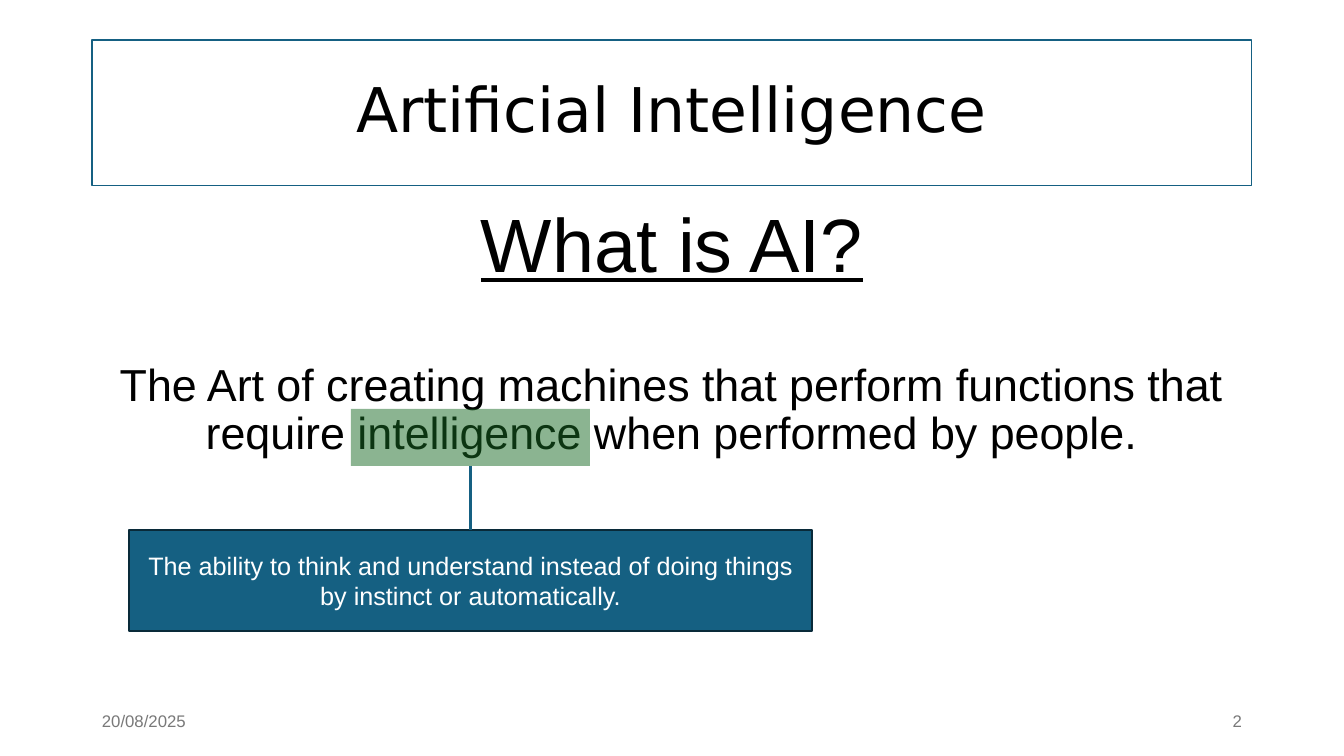
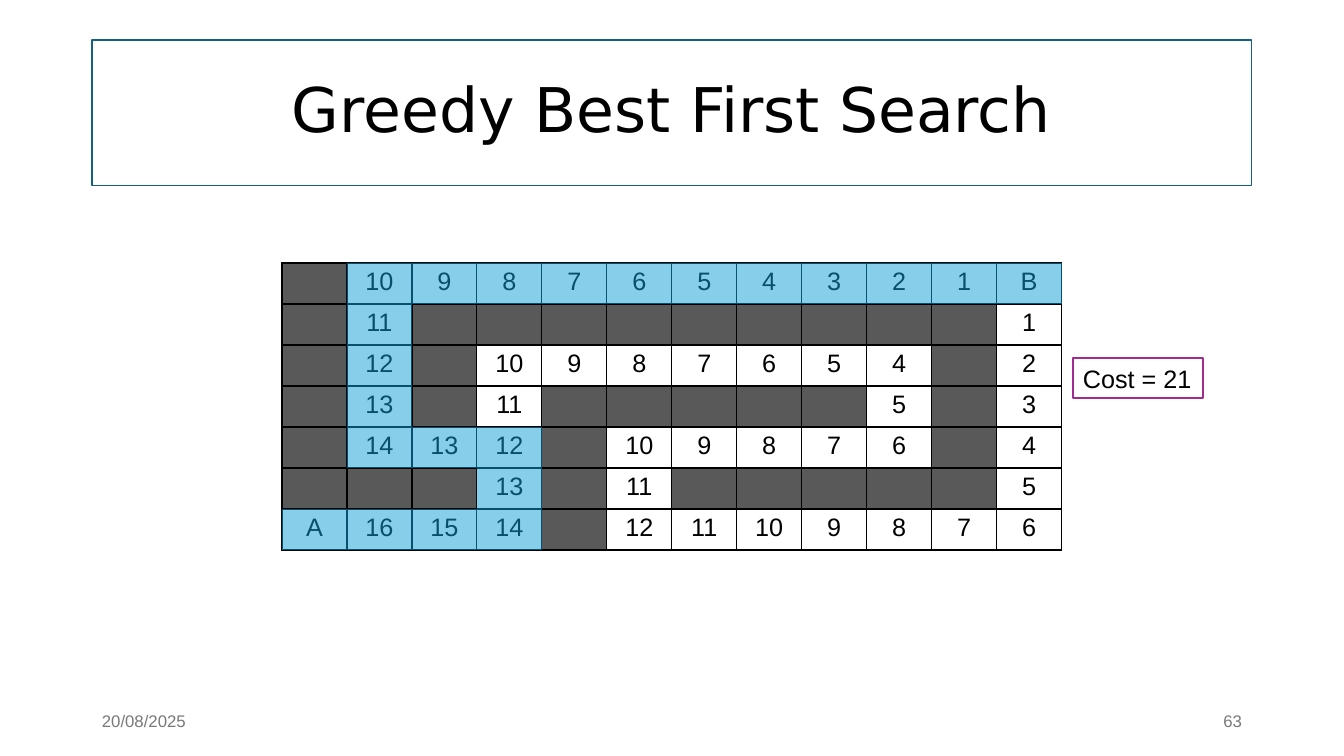
from lxml import etree
from pptx import Presentation
from pptx.dml.color import RGBColor
from pptx.enum.shapes import MSO_CONNECTOR, MSO_SHAPE
from pptx.enum.text import MSO_ANCHOR, MSO_AUTO_SIZE, PP_ALIGN
from pptx.oxml.ns import qn
from pptx.util import Pt

RECTANGLE = MSO_SHAPE.RECTANGLE
STRAIGHT = MSO_CONNECTOR.STRAIGHT
TOP, MIDDLE = MSO_ANCHOR.TOP, MSO_ANCHOR.MIDDLE
LEFT, CENTER, RIGHT = PP_ALIGN.LEFT, PP_ALIGN.CENTER, PP_ALIGN.RIGHT
NO_AUTOFIT = MSO_AUTO_SIZE.NONE
TOP_SIDE, BOTTOM_SIDE = 0, 2
TITLE_ONLY = 5

EMU_PER_PX = 914400 / 100.8
SLIDE_SIZE = (1344, 756)
MARGIN, CONTENT_WIDTH = 92, 1160
FOOTER_TOP, FOOTER_WIDTH, FOOTER_HEIGHT = 701, 302, 40
DATE = "20/08/2025"

TITLE_FONT, TEXT_FONT = "DejaVu Sans", "Arial"
COLORS = {
    "text": "000000",
    "white": "FFFFFF",
    "muted": "797979",
    "accent": "156082",
    "accent_edge": "092A39",
    "highlight": "196B24",
    "wall": "595959",
    "path": "0F9ED5",
    "cost_edge": "A02B93",
}

GRID_LEFT, GRID_TOP, CELL_WIDTH, CELL_HEIGHT = 282, 263, 65, 41
WALL = "#"
MAZE = [row.split() for row in (
    "# 10 9 8 7 6 5 4 3 2 1 B",
    "# 11 # # # # # # # # # 1",
    "# 12 # 10 9 8 7 6 5 4 # 2",
    "# 13 # 11 # # # # # 5 # 3",
    "# 14 13 12 # 10 9 8 7 6 # 4",
    "# # # 13 # 11 # # # # # 5",
    "A 16 15 14 # 12 11 10 9 8 7 6",
)]
PATH_SPANS = [(1, 11), (1, 1), (1, 1), (1, 1), (1, 3), (3, 3), (0, 3)]


def px(value):
    return round(value * EMU_PER_PX)


def place(*lengths):
    return [px(length) for length in lengths]


def color(name):
    return RGBColor.from_string(COLORS[name])


def add_text(para, text, size, ink="text", font=TEXT_FONT, align=CENTER, underline=False):
    para.alignment = align
    span = para.add_run()
    span.text = text
    span.font.name = font
    span.font.size = Pt(size)
    span.font.color.rgb = color(ink)
    if underline:
        span.font.underline = True


def set_line(shape, name, width):
    shape.line.color.rgb = color(name)
    shape.line.width = Pt(width)


def add_title(page, text):
    title = page.shapes.title
    title.left, title.top, title.width, title.height = place(MARGIN, 40, CONTENT_WIDTH, 146)
    set_line(title, "accent", 0.75)
    frame = title.text_frame
    frame.auto_size = NO_AUTOFIT
    frame.vertical_anchor = MIDDLE
    para = frame.paragraphs[0]
    para.line_spacing = 0.9
    add_text(para, text, 44, font=TITLE_FONT)


def add_text_box(page, area, anchor):
    frame = page.shapes.add_textbox(*place(*area)).text_frame
    frame.word_wrap = True
    frame.vertical_anchor = anchor
    return frame


def add_footer(page, number):
    right_edge = MARGIN + CONTENT_WIDTH
    for text, left, align in ((DATE, MARGIN, LEFT),
                              (number, right_edge - FOOTER_WIDTH, RIGHT)):
        frame = add_text_box(page, (left, FOOTER_TOP, FOOTER_WIDTH, FOOTER_HEIGHT), MIDDLE)
        add_text(frame.paragraphs[0], text, 12, "muted", align=align)


def add_page(deck, title, number):
    page = deck.slides.add_slide(deck.slide_layouts[TITLE_ONLY])
    add_title(page, title)
    add_footer(page, number)
    return page


def add_box(page, area, fill, edge=None):
    box = page.shapes.add_shape(RECTANGLE, *place(*area))
    box.shadow.inherit = False
    box.fill.solid()
    box.fill.fore_color.rgb = color(fill)
    if edge:
        set_line(box, edge, 1.5)
    else:
        box.line.fill.background()
    return box


def add_highlight(page, area, fill):
    box = add_box(page, area, fill)
    tint = box.element.spPr.find(qn("a:solidFill")).find(qn("a:srgbClr"))
    etree.SubElement(tint, qn("a:alpha"), val="50000")
    return box


def join_boxes(page, upper, lower):
    connector = page.shapes.add_connector(STRAIGHT, 0, 0, 0, 0)
    connector.begin_connect(upper, BOTTOM_SIDE)
    connector.end_connect(lower, TOP_SIDE)
    set_line(connector, "accent", 1.5)
    etree.SubElement(connector.element.spPr, qn("a:effectLst"))


def add_cell_borders(cell):
    properties = cell._tc.get_or_add_tcPr()
    for side in ("lnL", "lnR", "lnT", "lnB"):
        line = etree.SubElement(properties, qn(f"a:{side}"), w=str(Pt(1)))
        fill = etree.SubElement(line, qn("a:solidFill"))
        etree.SubElement(fill, qn("a:srgbClr"), val=COLORS["text"])


def add_maze(page):
    rows, columns = len(MAZE), len(MAZE[0])
    area = place(GRID_LEFT, GRID_TOP, columns * CELL_WIDTH, rows * CELL_HEIGHT)
    table = page.shapes.add_table(rows, columns, *area).table
    table.first_row = table.horz_banding = False
    for column in table.columns:
        column.width = px(CELL_WIDTH)
    for row, labels in zip(table.rows, MAZE):
        row.height = px(CELL_HEIGHT)
        for cell, label in zip(row.cells, labels):
            add_cell_borders(cell)
            cell.fill.solid()
            cell.fill.fore_color.rgb = color("wall" if label == WALL else "white")
            if label != WALL:
                add_text(cell.text_frame.paragraphs[0], label, 18)


def add_path(page):
    for row, (first, last) in enumerate(PATH_SPANS):
        for column in range(first, last + 1):
            left = GRID_LEFT + column * CELL_WIDTH
            top = GRID_TOP + row * CELL_HEIGHT
            add_highlight(page, (left, top, CELL_WIDTH, CELL_HEIGHT), "path")


def add_definition_page(deck):
    page = add_page(deck, "Artificial Intelligence", "2")
    frame = add_text_box(page, (MARGIN, 202, CONTENT_WIDTH, 480), TOP)
    question = frame.paragraphs[0]
    question.line_spacing = 0.9
    add_text(question, "What is AI?", 54, underline=True)
    answer = frame.add_paragraph()
    answer.line_spacing = 0.9
    answer.space_before = Pt(53)
    add_text(answer, "The Art of creating machines that perform functions that "
                     "require intelligence when performed by people.", 32)

    keyword = add_highlight(page, (351, 409, 239, 57), "highlight")
    callout = add_box(page, (129, 530, 683, 101), "accent", "accent_edge")
    callout.text_frame.word_wrap = True
    callout.text_frame.vertical_anchor = MIDDLE
    add_text(callout.text_frame.paragraphs[0],
             "The ability to think and understand instead of doing things "
             "by instinct or automatically.", 18, "white")
    join_boxes(page, keyword, callout)


def add_search_page(deck):
    page = add_page(deck, "Greedy Best First Search", "63")
    add_maze(page)
    add_path(page)
    cost = add_box(page, (1073, 358, 130, 40), "white", "cost_edge")
    cost.text_frame.word_wrap = False
    cost.text_frame.vertical_anchor = TOP
    add_text(cost.text_frame.paragraphs[0], "Cost = 21", 18, align=LEFT)


def main():
    deck = Presentation()
    deck.slide_width, deck.slide_height = place(*SLIDE_SIZE)
    add_definition_page(deck)
    add_search_page(deck)
    deck.save("out.pptx")


if __name__ == "__main__":
    main()
